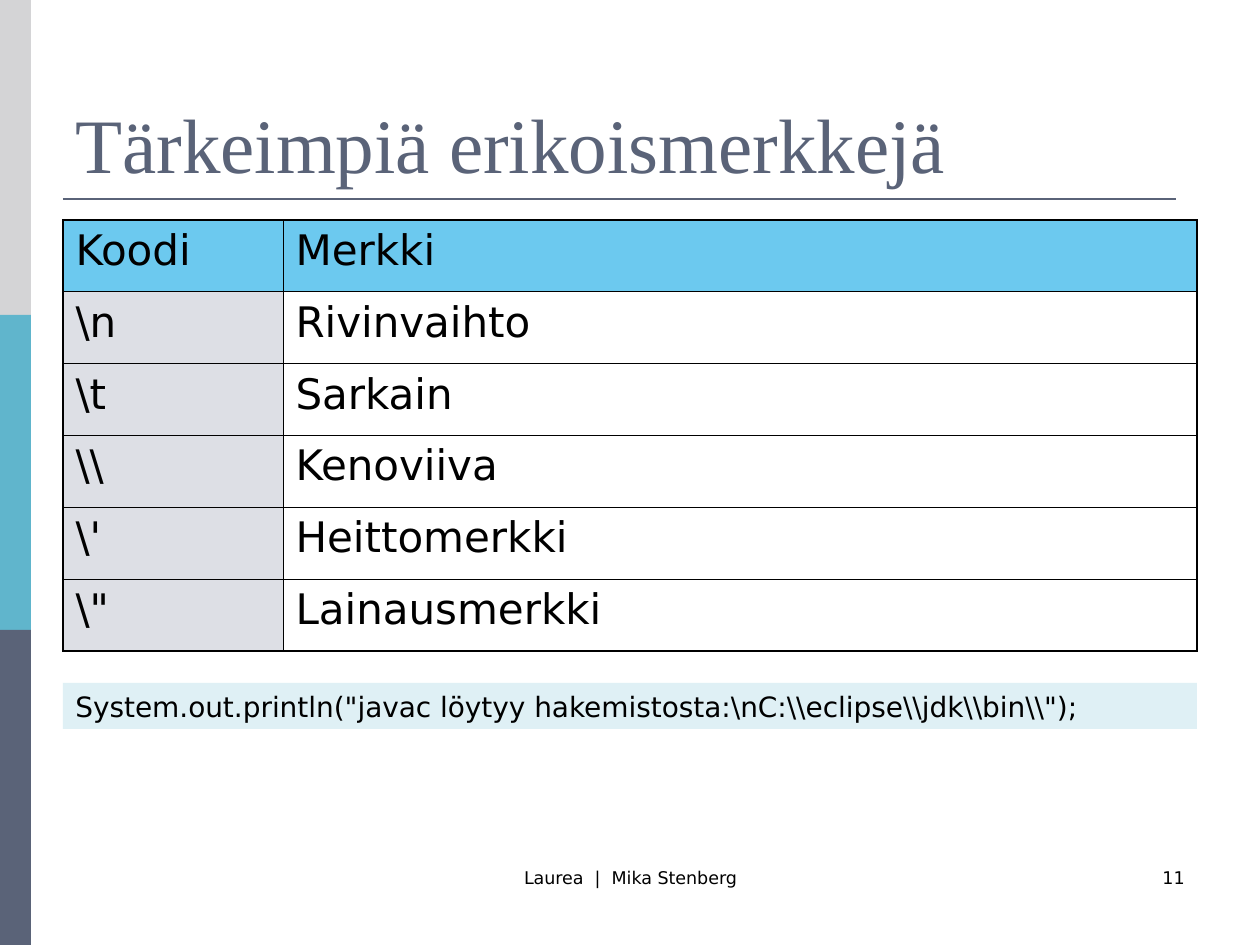
"""Build a slide with a table of escape characters and a code example."""
from lxml.etree import SubElement
from pptx import Presentation
from pptx.dml.color import RGBColor
from pptx.enum.shapes import MSO_CONNECTOR as Connector, MSO_SHAPE as Shape
from pptx.enum.text import MSO_ANCHOR as Anchor, PP_ALIGN as Align
from pptx.oxml.ns import qn
from pptx.util import Emu, Pt

TITLE = "Tärkeimpiä erikoismerkkejä"
ROWS = [
    ("Koodi", "Merkki"),
    (r"\n", "Rivinvaihto"),
    (r"\t", "Sarkain"),
    (r"\\", "Kenoviiva"),
    (r"\'", "Heittomerkki"),
    (r"\"", "Lainausmerkki"),
]
CODE = r'System.out.println("javac löytyy hakemistosta:\nC:\\eclipse\\jdk\\bin\\");'
FOOTER = "Laurea  |  Mika Stenberg"
PAGE_NUMBER = "11"

COLORS = {
    "slate": "5A6378",
    "teal": "60B5CC",
    "silver": "D4D4D6",
    "header": "6CC9EF",
    "key": "DDDFE5",
    "code": "DFF0F5",
    "black": "000000",
}
SIDEBAR = ["silver", "teal", "slate"]
SANS, SERIF = "DejaVu Sans", "Times New Roman"
SCALE = 914400 // 126
WIDTH, HEIGHT = 1260, 945
LEFT, CONTENT_WIDTH = 63, 1134
TABLE_TOP, TABLE_HEIGHT = 220, 431
COLUMN_WIDTHS = [220, 914]
OUTER, INNER = 1.08, 0.45


def px(*lengths):
    return [Emu(length * SCALE) for length in lengths]


def color(name):
    return RGBColor.from_string(COLORS[name])


def write(frame, text, size, font=SANS, ink="black", align=Align.LEFT, anchor=Anchor.TOP):
    frame.word_wrap = True
    frame.vertical_anchor = anchor
    para = frame.paragraphs[0]
    para.alignment = align
    span = para.add_run()
    span.text = text
    span.font.size = Pt(size)
    span.font.name = font
    span.font.color.rgb = color(ink)


def add_text(page, area, text, size, **style):
    box = page.shapes.add_textbox(*px(*area))
    write(box.text_frame, text, size, **style)


def add_block(page, area, fill):
    block = page.shapes.add_shape(Shape.RECTANGLE, *px(*area))
    block.shadow.inherit = False
    block.fill.solid()
    block.fill.fore_color.rgb = color(fill)
    block.line.fill.background()
    return block


def add_rule(page):
    rule = page.shapes.add_connector(Connector.STRAIGHT, *px(LEFT, 199, 1176, 199))
    rule.line.color.rgb = color("slate")
    rule.line.width = Pt(1.5)
    SubElement(rule.element.spPr, qn("a:effectLst"))


def set_borders(cell, widths):
    properties = cell._tc.get_or_add_tcPr()
    for side, width in widths.items():
        line = SubElement(properties, qn(f"a:ln{side}"), w=str(Pt(width)))
        fill = SubElement(line, qn("a:solidFill"))
        SubElement(fill, qn("a:srgbClr"), val=COLORS["black"])


def add_code_table(page):
    area = px(LEFT, TABLE_TOP, CONTENT_WIDTH, TABLE_HEIGHT)
    table = page.shapes.add_table(len(ROWS), len(COLUMN_WIDTHS), *area).table
    table.first_row = table.horz_banding = False
    for column, width in zip(table.columns, px(*COLUMN_WIDTHS)):
        column.width = width
    last_row, last_column = len(ROWS) - 1, len(COLUMN_WIDTHS) - 1
    for r, texts in enumerate(ROWS):
        table.rows[r].height = Emu(TABLE_HEIGHT * SCALE // len(ROWS))
        for c, text in enumerate(texts):
            cell = table.cell(r, c)
            outside = {"L": c == 0, "R": c == last_column, "T": r == 0, "B": r == last_row}
            set_borders(cell, {side: OUTER if edge else INNER for side, edge in outside.items()})
            if r == 0 or c == 0:
                cell.fill.solid()
                cell.fill.fore_color.rgb = color("header" if r == 0 else "key")
            else:
                cell.fill.background()
            write(cell.text_frame, text, 24)


def main():
    deck = Presentation()
    deck.slide_width, deck.slide_height = px(WIDTH, HEIGHT)
    page = deck.slides.add_slide(deck.slide_layouts[6])

    band = HEIGHT // len(SIDEBAR)
    for i, fill in enumerate(SIDEBAR):
        add_block(page, (0, i * band, 31, band), fill)
    add_rule(page)
    add_text(page, (431, 861, 399, 63), FOOTER, 10, align=Align.CENTER)
    add_text(page, (903, 861, 294, 63), PAGE_NUMBER, 10, align=Align.RIGHT)
    add_text(page, (LEFT, 38, CONTENT_WIDTH, 157), TITLE, 44,
             font=SERIF, ink="slate", anchor=Anchor.BOTTOM)
    add_code_table(page)
    code_block = add_block(page, (LEFT, 683, CONTENT_WIDTH, 46), "code")
    write(code_block.text_frame, CODE, 16)

    deck.save("out.pptx")


if __name__ == "__main__":
    main()
